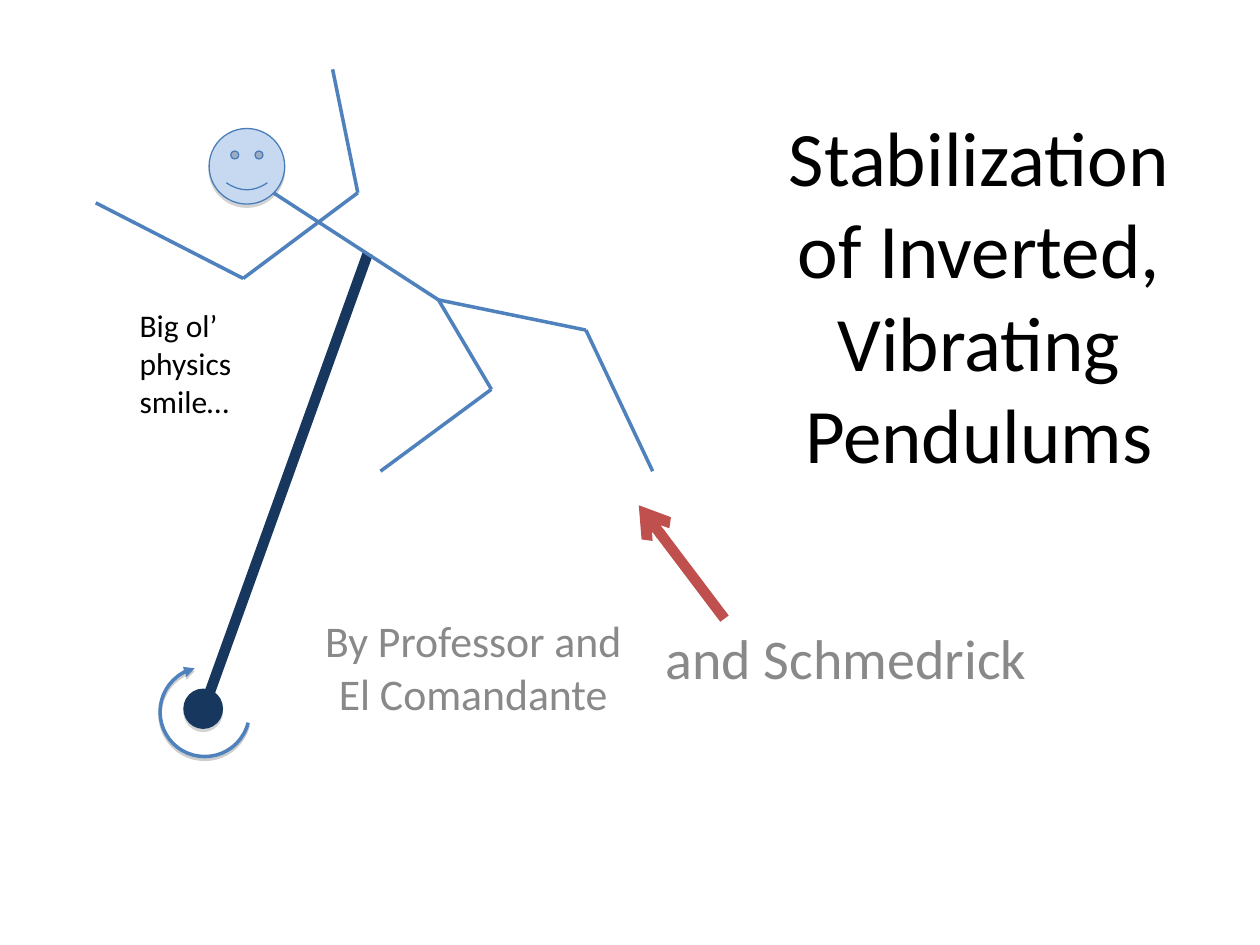
from dataclasses import dataclass
from itertools import pairwise
from typing import Optional

from lxml import etree
from pptx import Presentation
from pptx import util as u
from pptx.dml.color import RGBColor
from pptx.enum import shapes, text
from pptx.oxml import ns
from pptx.shapes import autoshape, connector, shapetree

BLACK = RGBColor(0x00, 0x00, 0x00)
GREY = RGBColor(0x89, 0x89, 0x89)
NAVY = RGBColor(0x17, 0x37, 0x5E)
BLUE = RGBColor(0x4F, 0x81, 0xBD)
FACE_LINE = RGBColor(0x4A, 0x7E, 0xBB)
FACE_FILL = RGBColor(0xC6, 0xD9, 0xF1)
RED = RGBColor(0xC0, 0x50, 0x4D)

COLUMNS, ROWS = 100, 75
CELL = u.Inches(0.1)
FONT = "Calibri"

Point = tuple[float, float]
Box = tuple[float, float, float, float]


@dataclass(frozen=True)
class Label:
    """A text block placed on the grid."""

    box: Box
    lines: tuple[str, ...]
    size: float
    color: RGBColor
    align: text.PP_ALIGN = text.PP_ALIGN.CENTER
    anchor: text.MSO_ANCHOR = text.MSO_ANCHOR.TOP
    line_spacing: float = 1.0
    space_before: float = 0


@dataclass(frozen=True)
class Solid:
    """A preset shape with an outline and a soft shadow."""

    kind: shapes.MSO_SHAPE
    box: Box
    line: RGBColor
    width: float
    fill: Optional[RGBColor] = None
    adjustments: tuple[float, ...] = ()
    arrowhead: Optional[str] = None
    shadow_opacity: int = 35
    shadow_distance: float = 1.8


@dataclass(frozen=True)
class Stroke:
    """A chain of straight lines through grid points."""

    points: tuple[Point, ...]
    color: RGBColor = BLUE
    width: float = 2
    arrowhead: Optional[str] = None


TITLE = Label((61.2, 3.7, 33, 39.3), ("Stabilization of Inverted, Vibrating Pendulums",),
              44, BLACK, anchor=text.MSO_ANCHOR.MIDDLE)
AUTHORS = Label((21.1, 49, 32.9, 8.8), ("By Professor and", "El Comandante"),
                25, GREY, line_spacing=0.8, space_before=6.2)
SMILE_NOTE = Label((10.1, 23.8, 12.1, 10), ("Big ol’ physics smile…",),
                   18, BLACK, align=text.PP_ALIGN.LEFT)
THIRD_AUTHOR = Label((50.7, 49, 32.9, 8.8), ("and Schmedrick",), 32, GREY, space_before=8)

PIVOT = Solid(shapes.MSO_SHAPE.OVAL, (14.6, 54.7, 3.05, 3.1), NAVY, 0.75, NAVY)
FACE = Solid(shapes.MSO_SHAPE.SMILEY_FACE, (16.6, 10.2, 6, 6), FACE_LINE, 0.75, FACE_FILL, (0.093,))
SPIN = Solid(shapes.MSO_SHAPE.ARC, (12.7, 52.95, 7.1, 7.1), BLUE, 2,
             adjustments=(14 * 0.6, 257 * 0.6), arrowhead="triangle",
             shadow_opacity=38, shadow_distance=1.6)

ROD = Stroke(((15.8, 57.3), (29.2, 20.1)), NAVY, 6)
POINTER = Stroke(((57.5, 49.1), (50.7, 40.1)), RED, 6, "arrow")

NECK, HIP = (21.7, 15.3), (34.8, 23.8)
LEFT_ELBOW, RIGHT_ELBOW = (19.3, 22.1), (28.4, 15.3)
BODY = (
    Stroke((NECK, HIP, (39, 30.9), (30.2, 37.4))),
    Stroke((HIP, (46.5, 26.2), (51.8, 37.4))),
    Stroke((LEFT_ELBOW, RIGHT_ELBOW, (26.4, 5.5))),
    Stroke((LEFT_ELBOW, (7.6, 16.1))),
)


def grid(*values: float) -> list[int]:
    """Convert grid units to lengths."""
    return [round(value * CELL) for value in values]


def add_arrowhead(shape: autoshape.Shape | connector.Connector, kind: str) -> None:
    """Put an arrowhead at the end of a line."""
    etree.SubElement(shape.line._get_or_add_ln(), ns.qn("a:tailEnd"), type=kind)


def add_label(tree: shapetree.SlideShapes, label: Label) -> None:
    """Draw a text block."""
    frame = tree.add_textbox(*grid(*label.box)).text_frame
    frame.word_wrap = True
    frame.vertical_anchor = label.anchor
    frame.text = "\n".join(label.lines)
    for paragraph in frame.paragraphs:
        paragraph.alignment = label.align
        paragraph.line_spacing = label.line_spacing
        paragraph.space_before = u.Pt(label.space_before)
        for run in paragraph.runs:
            run.font.name = FONT
            run.font.size = u.Pt(label.size)
            run.font.color.rgb = label.color


def add_shadow(shape: autoshape.Shape, opacity: int, distance: float) -> None:
    """Give a shape a grey shadow straight below it."""
    shape.shadow.inherit = False
    effects = shape._element.spPr.find(ns.qn("a:effectLst"))
    shadow = etree.SubElement(effects, ns.qn("a:outerShdw"), dist=str(u.Pt(distance)),
                              dir="5400000", algn="ctr", rotWithShape="0")
    color = etree.SubElement(shadow, ns.qn("a:srgbClr"), val="808080")
    etree.SubElement(color, ns.qn("a:alpha"), val=str(opacity * 1000))


def add_solid(tree: shapetree.SlideShapes | shapetree.GroupShapes, solid: Solid) -> None:
    """Draw a preset shape."""
    shape = tree.add_shape(solid.kind, *grid(*solid.box))
    for index, value in enumerate(solid.adjustments):
        shape.adjustments[index] = value
    if solid.fill is None:
        shape.fill.background()
    else:
        shape.fill.solid()
        shape.fill.fore_color.rgb = solid.fill
    shape.line.color.rgb = solid.line
    shape.line.width = u.Pt(solid.width)
    if solid.arrowhead:
        add_arrowhead(shape, solid.arrowhead)
    add_shadow(shape, solid.shadow_opacity, solid.shadow_distance)


def add_stroke(tree: shapetree.SlideShapes | shapetree.GroupShapes, stroke: Stroke) -> None:
    """Draw one connector between each pair of neighbouring points."""
    for start, end in pairwise(stroke.points):
        line = tree.add_connector(shapes.MSO_CONNECTOR.STRAIGHT, *grid(*start, *end))
        line.line.color.rgb = stroke.color
        line.line.width = u.Pt(stroke.width)
        if stroke.arrowhead:
            add_arrowhead(line, stroke.arrowhead)
        etree.SubElement(line._element.spPr, ns.qn("a:effectLst"))


def main() -> None:
    """Build the pendulum title slide."""
    presentation = Presentation()
    presentation.slide_width, presentation.slide_height = grid(COLUMNS, ROWS)
    slide = presentation.slides.add_slide(presentation.slide_layouts[6])
    add_label(slide.shapes, TITLE)
    add_label(slide.shapes, AUTHORS)
    add_solid(slide.shapes, PIVOT)
    add_stroke(slide.shapes, ROD)
    figure = slide.shapes.add_group_shape()
    add_solid(figure.shapes, FACE)
    for limb in BODY:
        add_stroke(figure.shapes, limb)
    add_label(slide.shapes, SMILE_NOTE)
    add_stroke(slide.shapes, POINTER)
    add_solid(slide.shapes, SPIN)
    add_label(slide.shapes, THIRD_AUTHOR)
    presentation.save("out.pptx")


if __name__ == "__main__":
    main()
